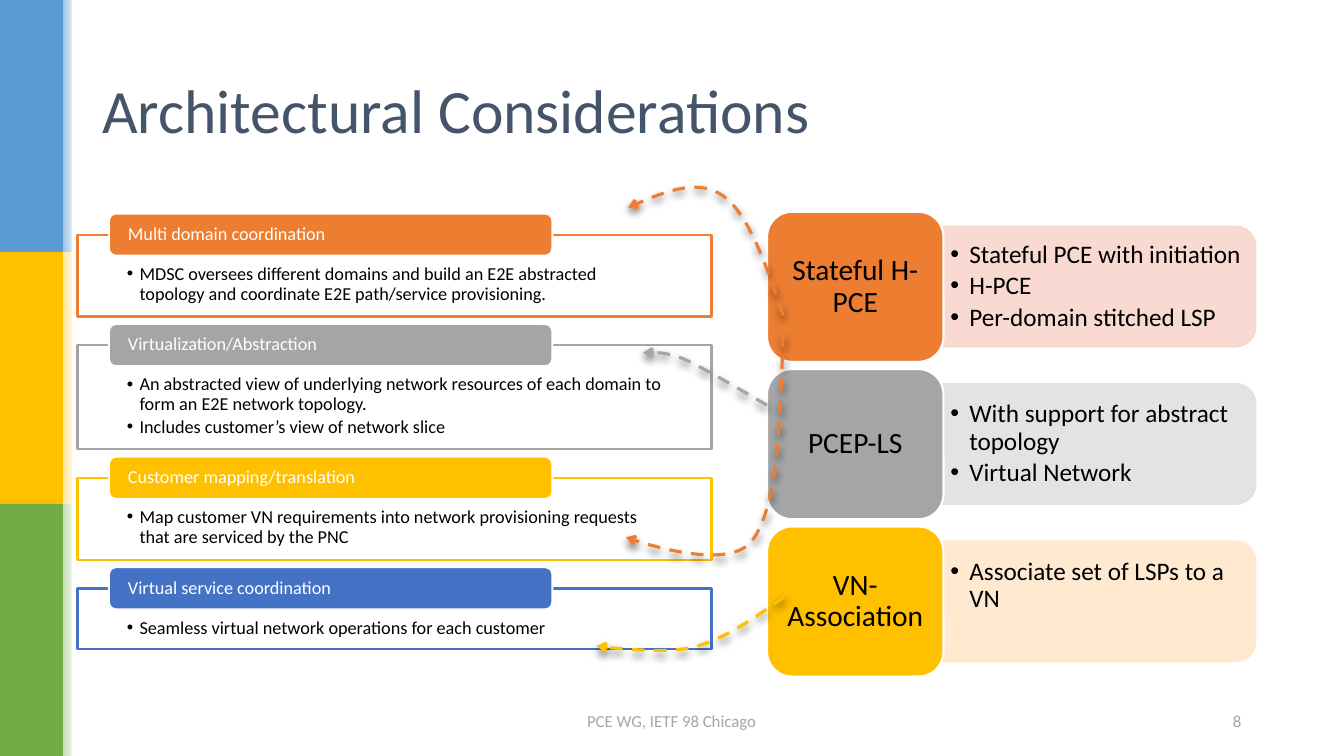
from dataclasses import dataclass

from lxml import etree
from pptx import Presentation
from pptx import util as u
from pptx.dml.color import RGBColor
from pptx.enum import dml, shapes, text
from pptx.oxml import ns

Pt = u.Pt
WHITE = RGBColor(0xFF, 0xFF, 0xFF)
BLACK = RGBColor(0x00, 0x00, 0x00)
SLATE = RGBColor(0x44, 0x54, 0x6A)
ORANGE = RGBColor(0xED, 0x7D, 0x31)
GRAY = RGBColor(0xA5, 0xA5, 0xA5)
GOLD = RGBColor(0xFF, 0xC0, 0x00)
BLUE = RGBColor(0x44, 0x72, 0xC4)
SKY = RGBColor(0x5B, 0x9B, 0xD5)
GREEN = RGBColor(0x70, 0xAD, 0x47)
PALE_SKY = RGBColor(0x9D, 0xC3, 0xE6)
PALE_GOLD = RGBColor(0xFF, 0xE6, 0x99)
PALE_GREEN = RGBColor(0xC5, 0xE0, 0xB4)
PINK = RGBColor(0xF8, 0xD7, 0xCE)
SILVER = RGBColor(0xE1, 0xE1, 0xE1)
CREAM = RGBColor(0xFF, 0xE8, 0xCC)

RECT = shapes.MSO_SHAPE.RECTANGLE
ROUND = shapes.MSO_SHAPE.ROUNDED_RECTANGLE
HALF_ROUND = shapes.MSO_SHAPE.ROUND_2_SAME_RECTANGLE
LEFT, CENTER, RIGHT = text.PP_ALIGN.LEFT, text.PP_ALIGN.CENTER, text.PP_ALIGN.RIGHT
TOP, MIDDLE = text.MSO_ANCHOR.TOP, text.MSO_ANCHOR.MIDDLE


@dataclass
class Function:
    title: str
    color: RGBColor
    height: float
    bullets: list[str]


@dataclass
class Solution:
    title: str
    color: RGBColor
    tint: RGBColor
    bullets: list[str]
    bottom: float = 2.9


@dataclass
class Arrow:
    color: RGBColor
    points: list[tuple[float, float]]


BANDS = [(SKY, PALE_SKY), (GOLD, PALE_GOLD), (GREEN, PALE_GREEN)]
FUNCTIONS = [
    Function("Multi domain coordination", ORANGE, 58.3, [
        "MDSC oversees different domains and build an E2E abstracted topology "
        "and coordinate E2E path/service provisioning."]),
    Function("Virtualization/Abstraction", GRAY, 74.2, [
        "An abstracted view of underlying network resources of each domain "
        "to form an E2E network topology.",
        "Includes customer’s view of network slice"]),
    Function("Customer mapping/translation", GOLD, 58.3, [
        "Map customer VN requirements into network provisioning requests "
        "that are serviced by the PNC"]),
    Function("Virtual service coordination", BLUE, 43.2, [
        "Seamless virtual network operations for each customer"]),
]
SOLUTIONS = [
    Solution("Stateful H-PCE", ORANGE, PINK, [
        "Stateful PCE with initiation", "H-PCE", "Per-domain stitched LSP"]),
    Solution("PCEP-LS", GRAY, SILVER, [
        "With support for abstract topology", "Virtual Network"]),
    Solution("VN-Association", GOLD, CREAM, ["Associate set of LSPs to a VN"], 25),
]
ARROWS = [
    Arrow(ORANGE, [(559.4, 225.4), (547.2, 188.6), (534.2, 151.9), (516.2, 139.7),
                   (497.5, 126.7), (473, 137.5), (448.6, 148.3)]),
    Arrow(ORANGE, [(559.4, 239), (557.3, 300.2), (555.8, 362.2), (537.1, 386.6),
                   (518.4, 410.4), (447.1, 383.8), (447.1, 383.8)]),
    Arrow(GRAY, [(547.9, 289.4), (525.6, 276.5), (502.6, 262.8), (488.2, 256.3),
                 (473.8, 250.6), (465.1, 252), (459.4, 252)]),
    Arrow(GOLD, [(560.2, 426.2), (539.3, 441.4), (517.7, 456.5), (495.4, 462.2),
                 (473, 468), (426.2, 461.5), (426.2, 461.5)]),
]


def child(parent, tag: str, **attributes: str):
    return etree.SubElement(parent, ns.qn(tag), attributes)


def write(shape, lines: list[str], *, size: float, color: RGBColor,
          align=LEFT, anchor=MIDDLE, insets=(7.2, 3.6, 7.2, 3.6),
          spacing: float = 0.9, after: float = 0, indent: float = 0) -> None:
    frame = shape.text_frame
    frame.word_wrap = True
    frame.vertical_anchor = anchor
    frame.margin_left, frame.margin_top, frame.margin_right, frame.margin_bottom = map(Pt, insets)
    for index, line in enumerate(lines):
        paragraph = frame.paragraphs[0] if index == 0 else frame.add_paragraph()
        paragraph.alignment = align
        paragraph.line_spacing = spacing
        paragraph.space_after = Pt(after)
        run = paragraph.add_run()
        run.text = line
        run.font.name = "Calibri"
        run.font.size = Pt(size)
        run.font.color.rgb = color
        if indent:
            properties = paragraph._p.get_or_add_pPr()
            properties.set("marL", str(Pt(indent)))
            properties.set("indent", str(-Pt(indent)))
            child(properties, "a:buFont", typeface="Arial")
            child(properties, "a:buChar", char="•")


def add_box(slide, kind, left: float, top: float, width: float, height: float,
            fill: RGBColor, line: RGBColor | None = None, alpha: int = 100):
    shape = slide.shapes.add_shape(kind, Pt(left), Pt(top), Pt(width), Pt(height))
    shape.shadow.inherit = False
    shape.fill.solid()
    shape.fill.fore_color.rgb = fill
    if alpha < 100:
        color = shape.element.spPr.find(ns.qn("a:solidFill"))[0]
        child(color, "a:alpha", val=str(alpha * 1000))
    if line is None:
        shape.line.fill.background()
    else:
        shape.line.color.rgb = line
        shape.line.width = Pt(1.5)
    return shape


def add_text(slide, left: float, top: float, width: float, height: float,
             lines: list[str], **style) -> None:
    box = slide.shapes.add_textbox(Pt(left), Pt(top), Pt(width), Pt(height))
    write(box, lines, **style)


def draw_bands(slide) -> None:
    for index, (color, tint) in enumerate(BANDS):
        add_box(slide, RECT, 0, index * 180, 45, 180, color)
        fade = add_box(slide, RECT, 45, index * 180, 11.2, 180, tint)
        fade.fill.gradient()
        fade.fill.gradient_angle = 0
        for stop, shade in zip(fade.fill.gradient_stops, (tint, WHITE)):
            stop.color.rgb = shade
    add_box(slide, RECT, 51.1, 0, 3.6, 540, WHITE)


def draw_functions(slide) -> None:
    top = 167.8
    for function in FUNCTIONS:
        body = add_box(slide, RECT, 55.4, top, 452.9, function.height,
                       WHITE, function.color, 90)
        write(body, function.bullets, size=13, color=BLACK, anchor=TOP,
              insets=(35.3, 21.3, 35.3, 7.2), after=2, indent=9)
        header = add_box(slide, ROUND, 77.8, top - 15.3, 316.8, 30.2, function.color, WHITE)
        write(header, [function.title], size=13, color=WHITE, insets=(12.2, 0, 12.2, 0))
        top += function.height + 20.6


def draw_solutions(slide) -> None:
    for index, solution in enumerate(SOLUTIONS):
        top = 151.3 + index * 112.4
        panel = add_box(slide, HALF_ROUND, 742.3, top - 58.2, 85.7, 223.2,
                        solution.tint, solution.tint, 90)
        panel.rotation = 90
        add_text(slide, 673.9, top + 15, 219.6, 77, solution.bullets, size=18, color=BLACK,
                 insets=(5, 2.9, 5, solution.bottom), after=3, indent=13.5)
        card = add_box(slide, ROUND, 547.9, top, 126, 107.2, solution.color, WHITE)
        write(card, [solution.title], size=21, color=BLACK, align=CENTER,
              insets=(6.3, 3.1, 6.3, 3.1))


def curve_points(points: list[tuple[float, float]], steps: int = 16) -> list[tuple[int, int]]:
    result = []
    for start in range(0, len(points) - 1, 3):
        a, b, c, d = points[start:start + 4]
        for step in range(1, steps + 1):
            t = step / steps
            s = 1 - t
            result.append(tuple(
                Pt(s**3 * a[k] + 3 * s * s * t * b[k] + 3 * s * t * t * c[k] + t**3 * d[k])
                for k in (0, 1)))
    return result


def draw_arrow(slide, arrow: Arrow) -> None:
    x, y = arrow.points[0]
    builder = slide.shapes.build_freeform(Pt(x), Pt(y))
    builder.add_line_segments(curve_points(arrow.points), close=False)
    shape = builder.convert_to_shape()
    shape.fill.background()
    shape.line.color.rgb = arrow.color
    shape.line.width = Pt(2.25)
    shape.line.dash_style = dml.MSO_LINE.DASH
    properties = shape.element.spPr
    child(properties.find(ns.qn("a:ln")), "a:tailEnd", type="arrow")
    shape.shadow.inherit = False
    shadow = child(properties.find(ns.qn("a:effectLst")), "a:outerShdw",
                   blurRad=str(Pt(6)), dist=str(Pt(3)), dir="5400000", rotWithShape="0")
    child(child(shadow, "a:srgbClr", val=str(BLACK)), "a:alpha", val="60000")


def main() -> None:
    presentation = Presentation()
    presentation.slide_width, presentation.slide_height = Pt(960), Pt(540)
    slide = presentation.slides.add_slide(presentation.slide_layouts[6])
    draw_bands(slide)
    add_text(slide, 66, 28.8, 828, 104.4, ["Architectural Considerations"], size=44, color=SLATE)
    add_text(slide, 365.8, 500.5, 228, 28.8, ["PCE WG, IETF 98 Chicago"],
             size=12, color=GRAY, align=CENTER, spacing=1)
    add_text(slide, 635.8, 500.5, 258, 28.8, ["8"], size=12, color=GRAY, align=RIGHT, spacing=1)
    draw_functions(slide)
    draw_solutions(slide)
    for arrow in ARROWS:
        draw_arrow(slide, arrow)
    presentation.save("out.pptx")


if __name__ == "__main__":
    main()
